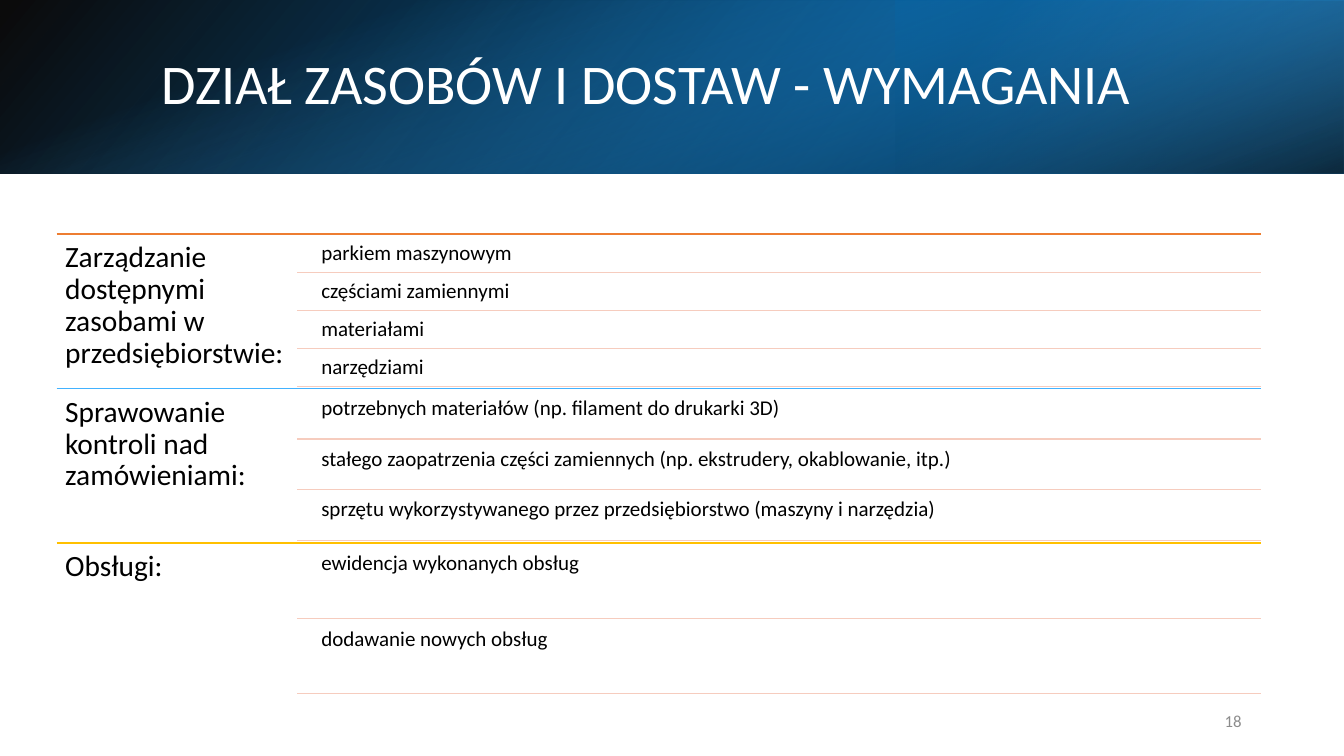
from dataclasses import dataclass

from pptx import Presentation
from pptx.dml.color import RGBColor
from pptx.enum.shapes import MSO_CONNECTOR as Connector, MSO_SHAPE as Preset
from pptx.enum.text import MSO_ANCHOR as Anchor, MSO_AUTO_SIZE as AutoSize, PP_ALIGN as Align
from pptx.oxml import parse_xml
from pptx.oxml.ns import nsdecls, qn
from pptx.shapes.shapetree import GroupShapes, SlideShapes
from pptx.slide import Slide
from pptx.text.text import TextFrame
from pptx.util import Emu, Pt

EMU_PER_PX = 9525


def px(length: float) -> Emu:
    return Emu(round(length * EMU_PER_PX))


@dataclass(frozen=True)
class Theme:
    font: str = "Calibri"
    title_size: int = 40
    heading_size: int = 21
    item_size: int = 15
    number_size: int = 12
    text: str = "000000"
    title: str = "FFFFFF"
    number: str = "8C8C8C"
    item_rule: str = "F6CCBE"
    orange: str = "ED7D31"
    blue: str = "42B2FF"
    yellow: str = "FFC000"
    deep_blue: str = "005FA0"
    bright_blue: str = "008FF1"
    black: str = "000000"


THEME = Theme()


@dataclass(frozen=True)
class Box:
    left: float
    top: float
    width: float
    height: float

    def emu(self) -> tuple[Emu, ...]:
        return tuple(px(length) for length in (self.left, self.top, self.width, self.height))


@dataclass(frozen=True)
class Stop:
    position: int
    color: str
    opacity: int = 100


@dataclass(frozen=True)
class Band:
    box: Box
    angle: int
    stops: tuple[Stop, ...]
    rotation: int = 0
    flipped: bool = False


@dataclass(frozen=True)
class Section:
    heading: str
    color: str
    items: tuple[str, ...]


BANDS = (
    Band(Box(0, 0, 1280, 165), 140,
         (Stop(0, THEME.black, 96), Stop(100, THEME.bright_blue)), flipped=True),
    Band(Box(853, 0, 427, 165), 320,
         (Stop(19, THEME.deep_blue, 68), Stop(100, THEME.blue, 79)), rotation=180, flipped=True),
    Band(Box(557, -557, 165, 1280), 340,
         (Stop(23, THEME.blue, 0), Stop(99, THEME.black, 74)), rotation=90),
)
SECTIONS = (
    Section("Zarządzanie dostępnymi zasobami w przedsiębiorstwie:", THEME.orange,
            ("parkiem maszynowym", "częściami zamiennymi", "materiałami", "narzędziami")),
    Section("Sprawowanie kontroli nad zamówieniami:", THEME.blue,
            ("potrzebnych materiałów (np. filament do drukarki 3D)",
             "stałego zaopatrzenia części zamiennych (np. ekstrudery, okablowanie, itp.)",
             "sprzętu wykorzystywanego przez przedsiębiorstwo (maszyny i narzędzia)")),
    Section("Obsługi:", THEME.yellow,
            ("ewidencja wykonanych obsług", "dodawanie nowych obsług")),
)
LIST_LEFT, LIST_RIGHT, LIST_TOP = 54, 1201, 223
SECTION_HEIGHT, HEADING_WIDTH = 147, 229
ITEM_RULE_LEFT, ITEM_LEFT = 283, 300
GAP_RATIO = 0.05


def fill_text(frame: TextFrame, text: str, size: int, color: str, align: Align = Align.LEFT,
              anchor: Anchor = Anchor.TOP, spacing: float = 0.9) -> None:
    frame.text = text
    paragraph = frame.paragraphs[0]
    formats = {
        frame: {"word_wrap": True, "auto_size": AutoSize.NONE, "vertical_anchor": anchor},
        paragraph: {"alignment": align, "line_spacing": spacing},
        paragraph.runs[0].font: {"name": THEME.font, "size": Pt(size)},
    }
    for target, values in formats.items():
        for name, value in values.items():
            setattr(target, name, value)
    paragraph.runs[0].font.color.rgb = RGBColor.from_string(color)


def add_label(shapes: SlideShapes | GroupShapes, box: Box, text: str, size: int, inset: int) -> None:
    frame = shapes.add_textbox(*box.emu()).text_frame
    for side in ("left", "top", "right", "bottom"):
        setattr(frame, f"margin_{side}", px(inset))
    fill_text(frame, text, size, THEME.text)


def add_rule(shapes: SlideShapes | GroupShapes, left: float, y: float, color: str) -> None:
    rule = shapes.add_connector(Connector.STRAIGHT, px(left), px(y), px(LIST_RIGHT), px(y))
    rule.line.width = Pt(1)
    rule.line.color.rgb = RGBColor.from_string(color)
    rule._element.spPr.append(parse_xml(f"<a:effectLst {nsdecls('a')}/>"))


def add_band(slide: Slide, band: Band) -> None:
    shape = slide.shapes.add_shape(Preset.RECTANGLE, *band.box.emu())
    stops = "".join(
        f'<a:gs pos="{stop.position * 1000}"><a:srgbClr val="{stop.color}">'
        f'<a:alpha val="{stop.opacity * 1000}"/></a:srgbClr></a:gs>'
        for stop in band.stops
    )
    properties = shape._element.spPr
    properties.append(parse_xml(
        f'<a:gradFill {nsdecls("a")} rotWithShape="1"><a:gsLst>{stops}</a:gsLst>'
        f'<a:lin ang="{band.angle * 60000}" scaled="0"/></a:gradFill>'
    ))
    shape.line.fill.background()
    shape.shadow.inherit = False
    shape.rotation = band.rotation
    if band.flipped:
        properties.find(qn("a:xfrm")).set("flipH", "1")


def add_section(shapes: GroupShapes, section: Section, top: int) -> None:
    """Draw a heading and its items, sharing the section height equally."""
    add_rule(shapes, LIST_LEFT, top, section.color)
    add_label(shapes, Box(LIST_LEFT, top, HEADING_WIDTH, SECTION_HEIGHT),
              section.heading, THEME.heading_size, 8)
    count = len(section.items)
    height = SECTION_HEIGHT / (count + (count + 1) * GAP_RATIO)
    gap = height * GAP_RATIO
    for index, item in enumerate(section.items):
        item_top = top + gap + index * (height + gap)
        add_label(shapes, Box(ITEM_LEFT, item_top, LIST_RIGHT - ITEM_LEFT, height),
                  item, THEME.item_size, 6)
        add_rule(shapes, ITEM_RULE_LEFT, item_top + height, THEME.item_rule)


def place_title(slide: Slide) -> None:
    """Set the title and bring it in front of the header bands."""
    title = slide.shapes.title
    title.left, title.top, title.width, title.height = Box(144, 36, 1054, 92).emu()
    fill_text(title.text_frame, "DZIAŁ ZASOBÓW I DOSTAW - WYMAGANIA",
              THEME.title_size, THEME.title, anchor=Anchor.MIDDLE)
    slide.shapes._spTree.append(title._element)


def main() -> None:
    presentation = Presentation()
    presentation.slide_width, presentation.slide_height = px(1280), px(720)
    slide = presentation.slides.add_slide(presentation.slide_layouts[5])
    for band in BANDS:
        add_band(slide, band)
    place_title(slide)
    requirements = slide.shapes.add_group_shape().shapes
    for index, section in enumerate(SECTIONS):
        add_section(requirements, section, LIST_TOP + index * SECTION_HEIGHT)
    number = slide.shapes.add_textbox(*Box(904, 667, 288, 38).emu())
    fill_text(number.text_frame, "18", THEME.number_size, THEME.number,
              Align.RIGHT, Anchor.MIDDLE, 1.0)
    presentation.save("out.pptx")


if __name__ == "__main__":
    main()
